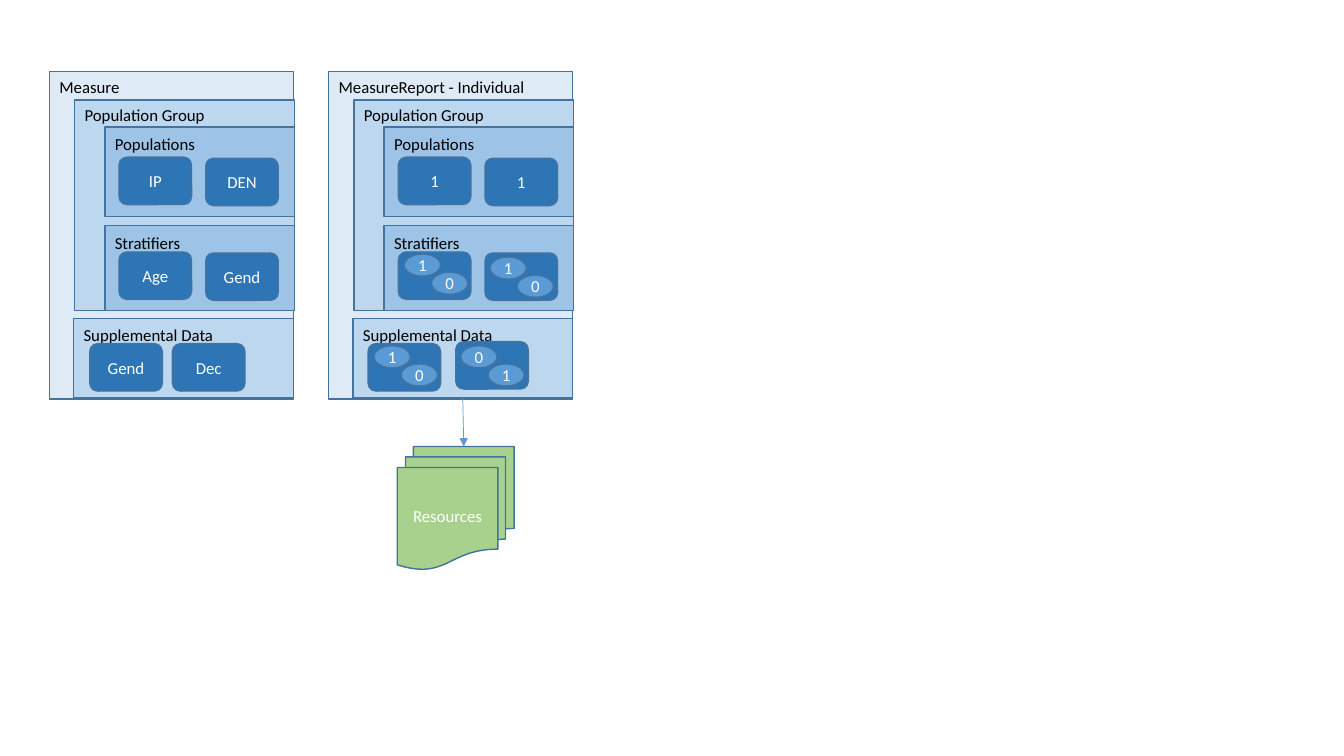
from lxml import etree
from pptx import Presentation
from pptx.dml.color import RGBColor
from pptx.enum import shapes, text
from pptx.oxml import ns
from pptx.util import Inches, Pt

COLORS = {
    "panel": "DEEBF7", "section": "BDD7EE", "list": "9DC3E6",
    "tile": "2E75B6", "stratum": "5B9BD5", "resources": "A9D18E",
    "outline": "43739E", "arrow": "5B9BD5",
    "label": "000000", "value": "FFFFFF",
}
KIND = shapes.MSO_SHAPE
PANEL_WIDTH = 2.42
TILE_SIZE = (0.72, 0.47)
STRATUM_SIZE = (0.36, 0.22)
STRATUM_STEP = (0.27, 0.18)
STRATA_OFFSETS = [(0.06, 0.02), (0.05, 0.04)]
TILE_SPOTS = [(0.69, 1.56), (1.55, 1.57), (0.69, 2.5), (1.55, 2.51)]
SECTIONS = [
    ("Population Group", "section", 0.25, 0.99, 2.18, 2.09, 0),
    ("Populations", "list", 0.55, 1.26, 1.88, 0.89, 0.02),
    ("Stratifiers", "list", 0.55, 2.24, 1.88, 0.84, 0.02),
    ("Supplemental Data", "section", 0.24, 3.16, 2.18, 0.79, 0.01),
]


def rgb(color):
    return RGBColor.from_string(COLORS[color])


def write(frame, words, color, **formats):
    for key, value in formats.items():
        setattr(frame, key, value)
    paragraph = frame.paragraphs[0]
    paragraph.text = words
    for key, value in {"name": "Calibri", "size": Pt(12)}.items():
        setattr(paragraph.font, key, value)
    paragraph.font.color.rgb = rgb(color)
    return paragraph


def add_block(group, kind, color, left, top, width, height, words=""):
    block = group.shapes.add_shape(kind, *map(Inches, (left, top, width, height)))
    block.shadow.inherit = False
    block.fill.solid()
    block.fill.fore_color.rgb = rgb(color)
    block.line.color.rgb = rgb("outline")
    block.line.width = Pt(1)
    if words:
        paragraph = write(block.text_frame, words, "value", word_wrap=True,
                          vertical_anchor=text.MSO_ANCHOR.MIDDLE,
                          margin_left=0, margin_right=0, margin_top=0, margin_bottom=0)
        paragraph.alignment = text.PP_ALIGN.CENTER


def add_section(group, title, color, left, top, width, height, label_drop=0):
    add_block(group, KIND.RECTANGLE, color, left, top, width, height)
    label = group.shapes.add_textbox(
        *map(Inches, (left, top + label_drop, width, 0.26)))
    write(label.text_frame, title, "label", word_wrap=True)


def add_strata(group, left, top, values):
    for index, value in enumerate(values):
        add_block(group, KIND.OVAL, "stratum",
                  left + index * STRATUM_STEP[0], top + index * STRATUM_STEP[1],
                  *STRATUM_SIZE, value)


def add_panel(slide, title, left, supplemental_spots, tiles):
    group = slide.shapes.add_group_shape()
    add_section(group, title, "panel", left, 0.71, PANEL_WIDTH, 3.25)
    for name, color, indent, *place in SECTIONS:
        add_section(group, name, color, left + indent, *place)
    for index, ((indent, top), content) in enumerate(
            zip(TILE_SPOTS + supplemental_spots, tiles)):
        has_strata = isinstance(content, tuple)
        add_block(group, KIND.ROUNDED_RECTANGLE, "tile", left + indent, top,
                  *TILE_SIZE, "" if has_strata else content)
        if has_strata:
            shift, drop = STRATA_OFFSETS[index % 2]
            add_strata(group, left + indent + shift, top + drop, content)
    return group


def add_arrow(group, start, end):
    arrow = group.shapes.add_connector(
        shapes.MSO_CONNECTOR.STRAIGHT, *map(Inches, start + end))
    arrow.line.color.rgb = rgb("arrow")
    arrow.line.width = Pt(0.5)
    etree.SubElement(arrow.line._get_or_add_ln(), ns.qn("a:tailEnd"), type="triangle")
    etree.SubElement(arrow._element.spPr, ns.qn("a:effectLst"))


def main():
    deck = Presentation()
    deck.slide_width, deck.slide_height = Inches(13.33), Inches(7.5)
    slide = deck.slides.add_slide(deck.slide_layouts[6])
    add_panel(slide, "Measure", 0.49, [(0.4, 3.41), (1.22, 3.41)],
              ["IP", "DEN", "Age", "Gend", "Gend", "Dec"])
    report = add_panel(slide, "MeasureReport - Individual", 3.26,
                       [(0.39, 3.41), (1.26, 3.39)],
                       ["1", "1", ("1", "0"), ("1", "0"), ("1", "0"), ("0", "1")])
    add_block(report, KIND.FLOWCHART_MULTIDOCUMENT, "resources",
              3.94, 4.43, 1.16, 1.22, "Resources")
    add_arrow(report, (4.59, 3.95), (4.6, 4.43))
    deck.save("out.pptx")


if __name__ == "__main__":
    main()
